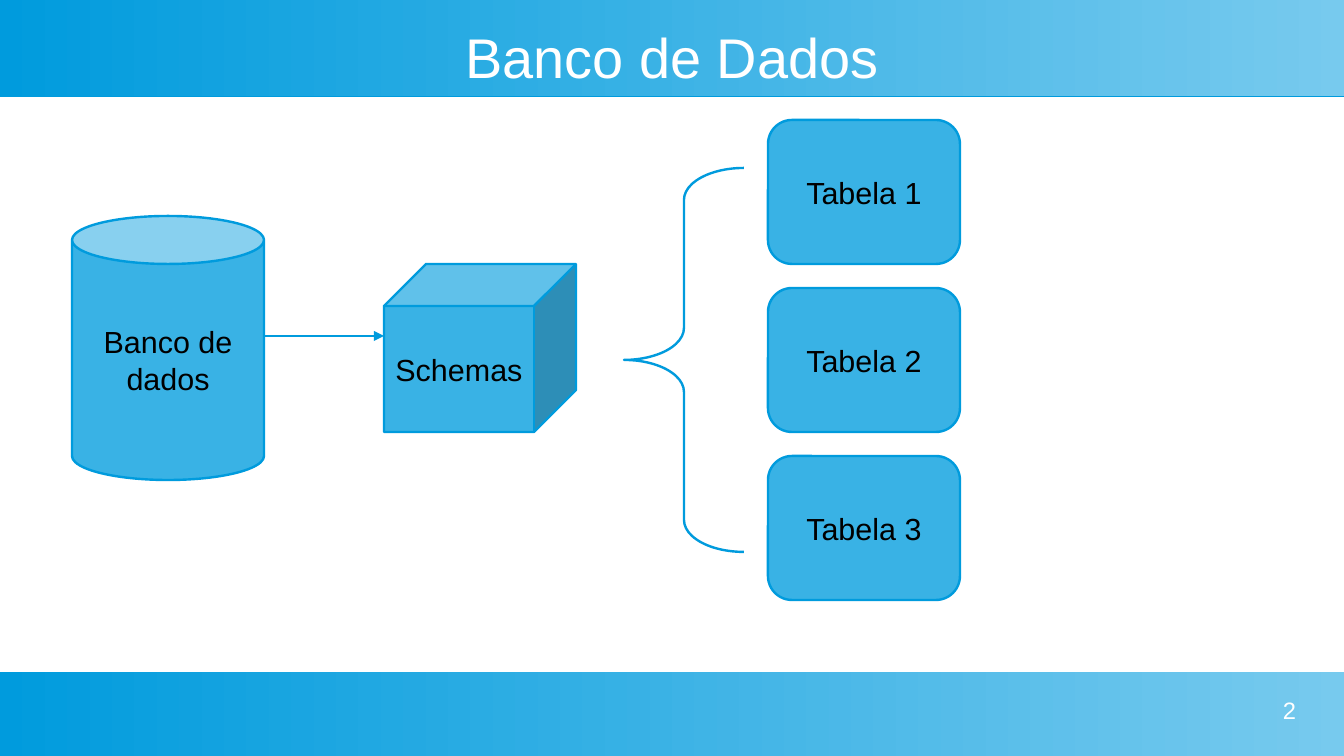
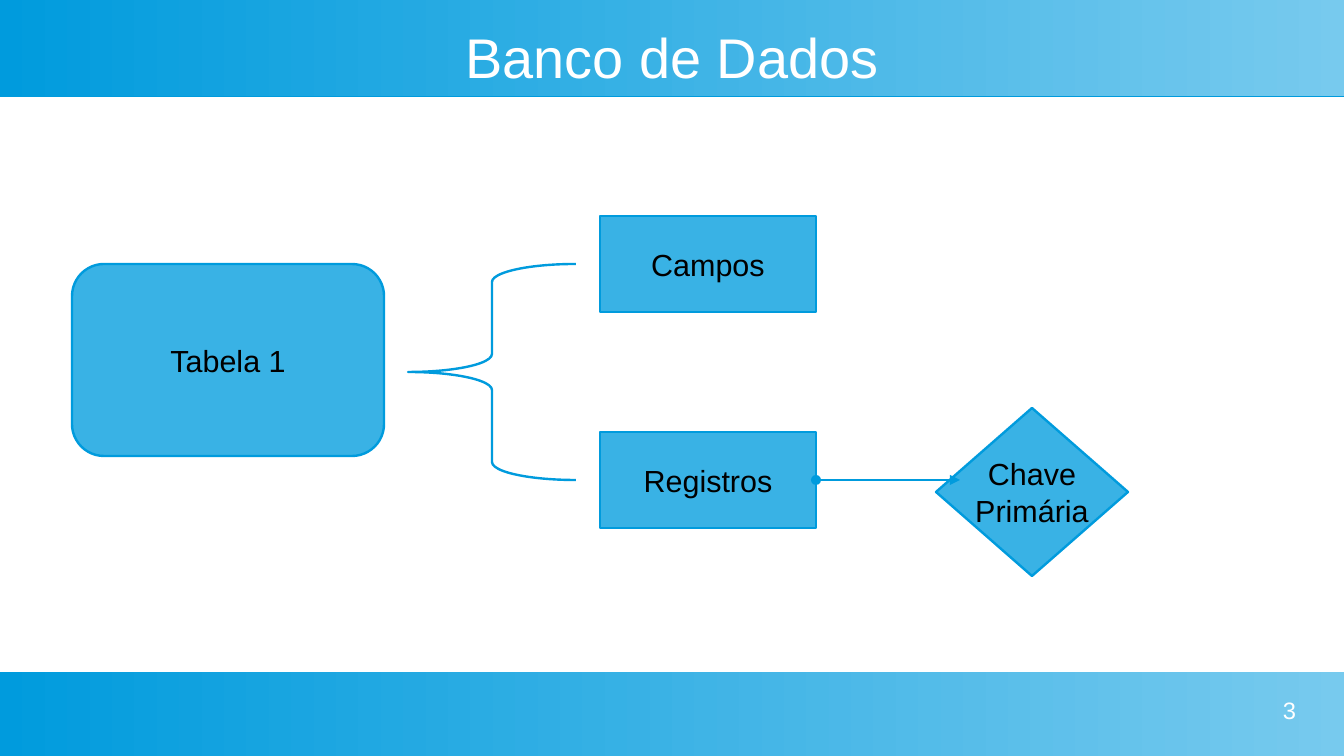
from lxml import etree
from pptx import Presentation
from pptx.dml.color import RGBColor
from pptx.enum import shapes, text
from pptx.oxml import ns
from pptx.util import Pt

UNIT = 14.17  # grid step in points (5 mm)
SLIDE_W, SLIDE_H = 56, 31.5  # in grid steps
LINE_W = Pt(1.42)
COLORS = {"line": "009BDD", "fill": "39B2E5", "light": "77CAEE",
          "white": "FFFFFF", "black": "000000"}
FORMATS = {
    "title": {"name": "Arial", "size": Pt(33)},
    "label": {"name": "Arial", "size": Pt(18)},
    "page": {"name": "Arial", "size": Pt(14)},
}
KIND = shapes.MSO_SHAPE
ALIGN = text.PP_ALIGN
MIDDLE = text.MSO_ANCHOR.MIDDLE


def rgb(key):
    return RGBColor.from_string(COLORS[key])


def grid(*steps):
    return [Pt(round(n * UNIT, 2)) for n in steps]


def sub(parent, tag, **attrs):
    return etree.SubElement(parent, ns.qn(tag), attrs)


def write(tf, lines, style, color, align):
    for i, line in enumerate(lines.split("\n")):
        p = tf.paragraphs[0] if i == 0 else tf.add_paragraph()
        p.alignment = align
        r = p.add_run()
        r.text = line
        for name, value in FORMATS[style].items():
            setattr(r.font, name, value)
        r.font.color.rgb = rgb(color)


def add_plain(s, kind, box):
    sp = s.shapes.add_shape(kind, *grid(*box))
    sp.shadow.inherit = False
    return sp


def add_band(s, top, height):
    sp = add_plain(s, KIND.RECTANGLE, (0, top, SLIDE_W, height))
    sp.line.fill.background()
    sp.fill.gradient()
    sp.fill.gradient_angle = 0
    for stop, key in zip(sp.fill.gradient_stops, ("line", "light")):
        stop.color.rgb = rgb(key)
    # Thin coloured edge under the band
    effects = sp._element.spPr.find(ns.qn("a:effectLst"))
    shadow = sub(effects, "a:outerShdw", dist=str(Pt(0.9)), dir="5400000",
                 algn="tl", rotWithShape="0")
    sub(shadow, "a:srgbClr", val=COLORS["line"])


def add_text(s, box, words, style, align, anchor=text.MSO_ANCHOR.TOP):
    tf = s.shapes.add_textbox(*grid(*box)).text_frame
    frame = {"word_wrap": True, "vertical_anchor": anchor, "margin_left": 0,
             "margin_top": 0, "margin_right": 0, "margin_bottom": 0}
    for name, value in frame.items():
        setattr(tf, name, value)
    write(tf, words, style, "white", align)


def add_node(s, kind, box, words):
    sp = add_plain(s, kind, box)
    sp.fill.solid()
    sp.fill.fore_color.rgb = rgb("fill")
    sp.line.color.rgb = rgb("line")
    sp.line.width = LINE_W
    tf = sp.text_frame
    tf.word_wrap = False
    tf.vertical_anchor = MIDDLE
    write(tf, words, "label", "black", ALIGN.CENTER)
    return sp


def add_brace(s, box):
    sp = add_plain(s, KIND.LEFT_BRACE, box)
    sp.fill.background()
    sp.line.color.rgb = rgb("line")
    sp.line.width = LINE_W
    # Each curve takes a twelfth of the height
    width, height = box[2:]
    sp.adjustments[0] = height / 12 / min(width, height)


def add_arrow(s, start, end, source=None):
    cx = s.shapes.add_connector(shapes.MSO_CONNECTOR.STRAIGHT,
                                *grid(*start, *end))
    cx.line.color.rgb = rgb("line")
    cx.line.width = LINE_W
    ln = cx.line._get_or_add_ln()
    if source is not None:
        cx.begin_connect(source, 3)
        sub(ln, "a:headEnd", type="oval")
    sub(ln, "a:tailEnd", type="triangle")
    sub(cx._element.spPr, "a:effectLst")


def add_slide(prs, number):
    s = prs.slides.add_slide(prs.slide_layouts[6])
    add_band(s, 0, 4)
    add_band(s, 28, 3.5)
    add_text(s, (2, 1, 52, 2.65), "Banco de Dados", "title", ALIGN.CENTER, MIDDLE)
    add_text(s, (41, 29, 13, 2), str(number), "page", ALIGN.RIGHT)
    return s


def build_database(prs):
    s = add_slide(prs, 2)
    add_node(s, KIND.CAN, (3, 9, 8, 11), "Banco de\ndados")
    add_node(s, KIND.CUBE, (16, 11, 8, 7), "Schemas")
    add_arrow(s, (11, 14), (16, 14))
    for i in range(3):
        add_node(s, KIND.ROUNDED_RECTANGLE, (32, 5 + 7 * i, 8, 6), f"Tabela {i + 1}")
    add_brace(s, (26, 7, 5, 16))


def build_table(prs):
    s = add_slide(prs, 3)
    add_node(s, KIND.ROUNDED_RECTANGLE, (3, 11, 13, 8), "Tabela 1")
    add_brace(s, (17, 11, 7, 9))
    add_node(s, KIND.RECTANGLE, (25, 9, 9, 4), "Campos")
    records = add_node(s, KIND.RECTANGLE, (25, 18, 9, 4), "Registros")
    add_node(s, KIND.DIAMOND, (39, 17, 8, 7), "Chave\nPrimária")
    add_arrow(s, (34, 20), (40, 20), records)


def main():
    prs = Presentation()
    prs.slide_width, prs.slide_height = grid(SLIDE_W, SLIDE_H)
    build_database(prs)
    build_table(prs)
    prs.save("out.pptx")


if __name__ == "__main__":
    main()
